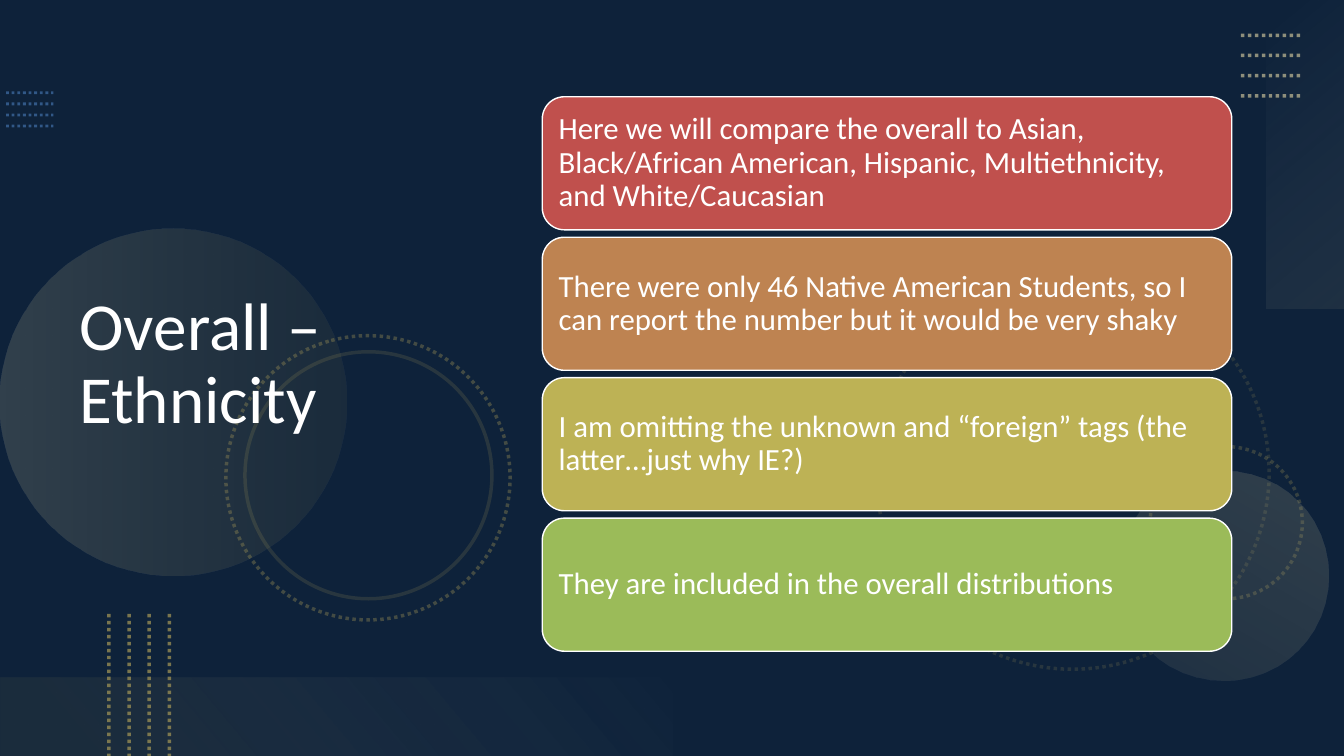
from dataclasses import dataclass

import pptx
import pptx.dml.color
import pptx.enum.dml
import pptx.enum.shapes
import pptx.enum.text
import pptx.oxml
import pptx.oxml.ns
import pptx.util

COLORS = {
    "navy": "1F497D", "black": "000000", "white": "FFFFFF", "blue": "558ED5",
    "olive": "948A54", "sand": "C4BD97", "pale sand": "F8F7F3", "pale olive": "F5F4ED",
    "red": "C0504D", "orange": "BE8351", "mustard": "BDB255", "green": "9BBB59",
}
FONT = "Calibri"
SHAPES = pptx.enum.shapes.MSO_SHAPE
qn = pptx.oxml.ns.qn

deck = pptx.Presentation()
deck.slide_width = pptx.util.Inches(13.333)
deck.slide_height = pptx.util.Inches(7.5)
slide = deck.slides.add_slide(deck.slide_layouts[6])

# The grid has 100 rows over the slide height; its cells are square
CELL = deck.slide_height / 100
COLUMNS = deck.slide_width / CELL


@dataclass
class Box:
    left: float
    top: float
    width: float
    height: float
    turn: float = 0


@dataclass
class Ring:
    box: Box
    opacity: int
    dotted: bool = True


@dataclass
class Glow:
    kind: SHAPES
    box: Box
    stops: tuple[tuple[int, str, int], ...]  # position, colour, opacity
    angle: int


@dataclass
class DotLines:
    left: float
    top: float
    width: float
    height: float
    step_x: float
    step_y: float
    color: str
    weight: float
    opacity: int


@dataclass
class Point:
    color: str
    wording: str


def grid(cells: float) -> int:
    return round(cells * CELL)


def rgb(color: str) -> pptx.dml.color.RGBColor:
    return pptx.dml.color.RGBColor.from_string(COLORS[color])


def set_opacity(properties, percent: int) -> None:
    for tint in properties.iter(qn("a:srgbClr")):
        alpha = tint.makeelement(qn("a:alpha"), {"val": str(percent * 1000)})
        tint.append(alpha)


def add_box(kind: SHAPES, box: Box):
    shape = slide.shapes.add_shape(
        kind, grid(box.left), grid(box.top), grid(box.width), grid(box.height))
    shape.rotation = box.turn
    shape.shadow.inherit = False
    return shape


def style_line(line, color: str, weight: float, dotted: bool = False) -> None:
    line.color.rgb = rgb(color)
    line.width = pptx.util.Pt(weight)
    if dotted:
        line.dash_style = pptx.enum.dml.MSO_LINE.ROUND_DOT


def draw_ring(ring: Ring) -> None:
    shape = add_box(SHAPES.OVAL, ring.box)
    shape.fill.background()
    style_line(shape.line, "olive", 2.5, ring.dotted)
    set_opacity(shape.element.spPr.find(qn("a:ln")), ring.opacity)


def draw_glow(glow: Glow) -> None:
    shape = add_box(glow.kind, glow.box)
    shape.line.fill.background()
    stops = "".join(
        f'<a:gs pos="{position * 1000}"><a:srgbClr val="{COLORS[color]}">'
        f'<a:alpha val="{opacity * 1000}"/></a:srgbClr></a:gs>'
        for position, color, opacity in glow.stops)
    gradient = pptx.oxml.parse_xml(
        f'<a:gradFill {pptx.oxml.ns.nsdecls("a")} rotWithShape="1"><a:gsLst>{stops}</a:gsLst>'
        f'<a:lin ang="{glow.angle * 60000}" scaled="0"/></a:gradFill>')
    shape.element.spPr.find(qn("a:prstGeom")).addnext(gradient)


def draw_dot_lines(lines: DotLines) -> None:
    for index in range(4):
        left = lines.left + index * lines.step_x
        top = lines.top + index * lines.step_y
        dots = slide.shapes.add_connector(
            pptx.enum.shapes.MSO_CONNECTOR.STRAIGHT, grid(left), grid(top),
            grid(left + lines.width), grid(top + lines.height))
        style_line(dots.line, lines.color, lines.weight, dotted=True)
        properties = dots.element.spPr
        set_opacity(properties, lines.opacity)
        properties.append(properties.makeelement(qn("a:effectLst"), {}))


def write(frame, wording: str, size: float) -> None:
    frame.word_wrap = True
    frame.vertical_anchor = pptx.enum.text.MSO_ANCHOR.MIDDLE
    paragraph = frame.paragraphs[0]
    paragraph.text = wording
    paragraph.alignment = pptx.enum.text.PP_ALIGN.LEFT
    paragraph.line_spacing = 0.9
    paragraph.font.name = FONT
    paragraph.font.size = pptx.util.Pt(size)
    paragraph.font.color.rgb = rgb("white")


# Background, darkened by a black veil
slide.background.fill.solid()
slide.background.fill.fore_color.rgb = rgb("navy")
veil = add_box(SHAPES.RECTANGLE, Box(0, 0, COLUMNS, 100))
veil.fill.solid()
veil.fill.fore_color.rgb = rgb("black")
veil.line.fill.background()
set_opacity(veil.element.spPr, 53)

# Decoration, from back to front
decoration = [
    DotLines(0.8, 12.27, 6.27, 0, 0, 1.47, "blue", 2, 50),
    Ring(Box(115.87, 36.53, 52, 52, 75), 20),
    Ring(Box(152.13, 59.07, 20.13, 20.13, 270), 30),
    Glow(SHAPES.OVAL, Box(0, 30.27, 45.87, 45.87, 270),
         ((0, "sand", 20), (100, "olive", 10)), 90),
    Glow(SHAPES.OVAL, Box(148, 62.27, 27.73, 27.73, 210),
         ((0, "sand", 10), (100, "sand", 20)), 90),
    Ring(Box(29.87, 44.4, 37.6, 37.6, 75), 40),
    Ring(Box(32.4, 46.53, 32.67, 32.67, 75), 20, dotted=False),
    Glow(SHAPES.RECTANGLE, Box(152.27, 15.2, 40.8, 10.4, 270),
         ((0, "pale sand", 0), (100, "sand", 10)), 140),
    DotLines(164.13, 4.67, 8, 0, 0, 2.67, "sand", 2.5, 70),
    Glow(SHAPES.RECTANGLE, Box(0, 89.6, COLUMNS / 2, 10.4, 180),
         ((10, "olive", 10), (100, "pale olive", 0)), 140),
    DotLines(14.4, 81.2, 0, 18.8, 2.67, 0, "olive", 2.5, 80),
]
DRAW = {Ring: draw_ring, Glow: draw_glow, DotLines: draw_dot_lines}
for part in decoration:
    DRAW[type(part)](part)

# Title
title = slide.shapes.add_textbox(grid(9.2), grid(7.2), grid(61.2), grid(82.27))
write(title.text_frame, "Overall – Ethnicity", 48)

# Stacked points
points = [
    Point("red", "Here we will compare the overall to Asian, Black/African American, "
                 "Hispanic, Multiethnicity, and White/Caucasian"),
    Point("orange", "There were only 46 Native American Students, so I can report "
                    "the number but it would be very shaky"),
    Point("mustard", "I am omitting the unknown and “foreign” tags (the latter…just why IE?)"),
    Point("green", "They are included in the overall distributions"),
]
for row, point in enumerate(points):
    card = add_box(SHAPES.ROUNDED_RECTANGLE, Box(71.73, 12.8 + row * 18.58, 91.2, 17.6))
    card.fill.solid()
    card.fill.fore_color.rgb = rgb(point.color)
    style_line(card.line, "white", 1)
    write(card.text_frame, point.wording, 22)

deck.save("out.pptx")
